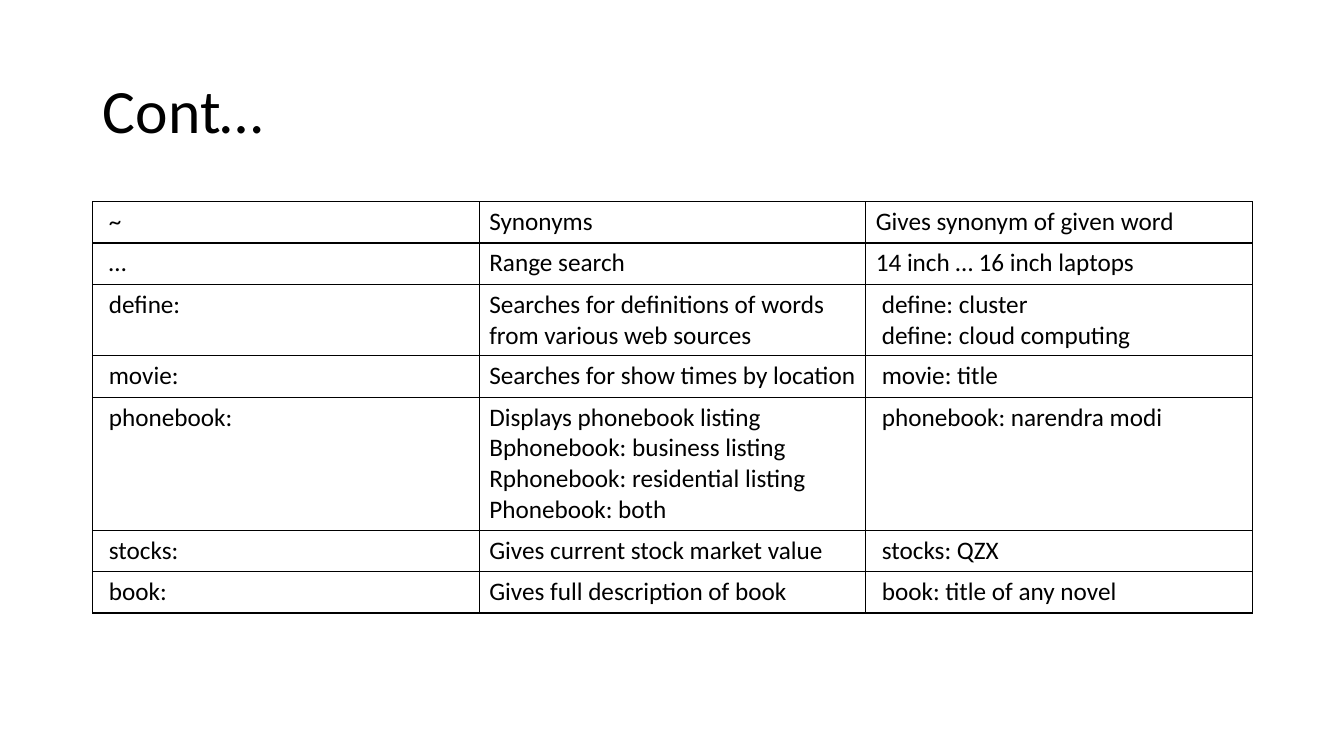
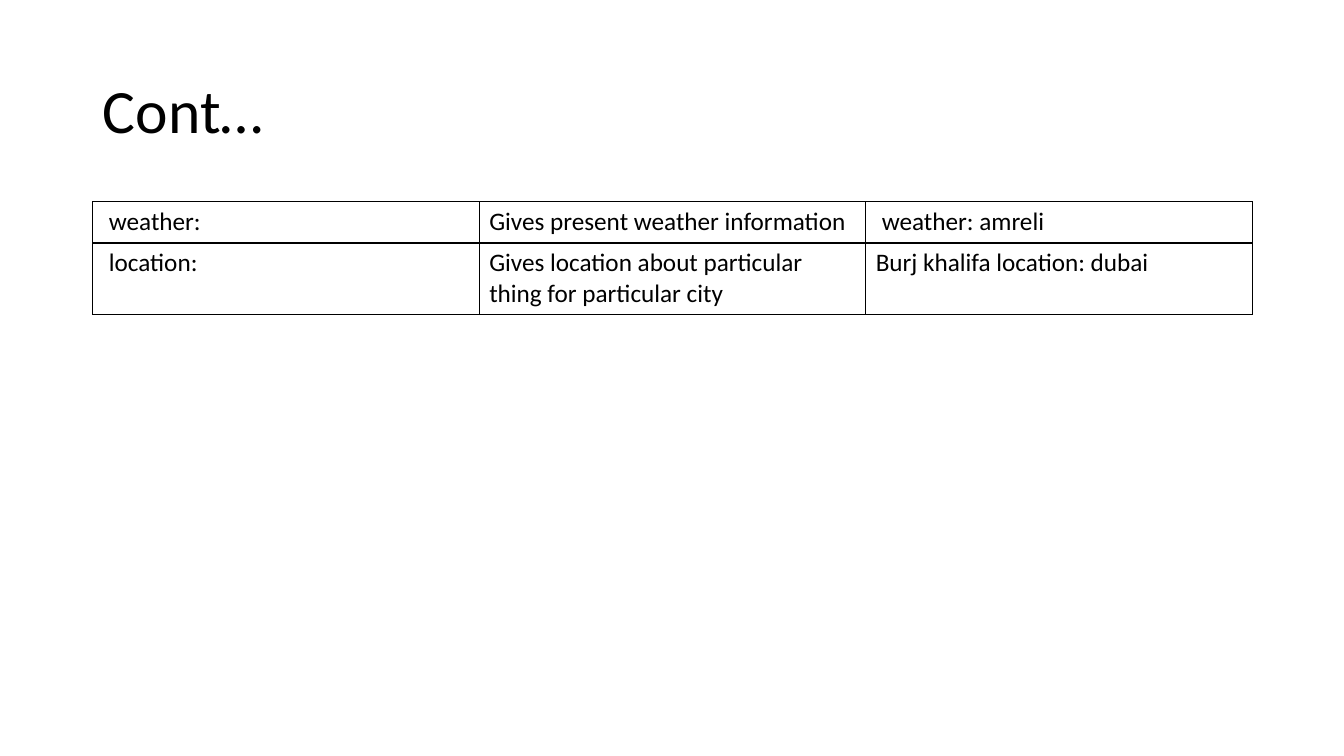
from dataclasses import dataclass

from lxml.etree import SubElement
from pptx import Presentation
from pptx.dml.color import RGBColor
from pptx.enum.text import MSO_ANCHOR, MSO_AUTO_SIZE, PP_ALIGN
from pptx.oxml.ns import qn
from pptx.presentation import Presentation as Deck
from pptx.slide import Slide
from pptx.table import _Cell as Cell
from pptx.text.text import _Paragraph as Paragraph
from pptx.util import Inches, Pt

FONT = "Calibri"
INK = "000000"
PAPER = "FFFFFF"
TITLE_SIZE = 44
CELL_SIZE = 18
LEFT, WIDTH = 0.92, 11.5
TITLE_TOP, TITLE_HEIGHT = 0.4, 1.45
TABLE_TOP, ROW_HEIGHT = 2.0, 0.41
COLUMN_COUNT = 3
QUERY_INDENT = 0.06
BORDER_WIDTH = 1
TITLE_ONLY_LAYOUT = 5


@dataclass(frozen=True)
class SearchOperator:
    keyword: str
    meaning: tuple[str, ...]
    example: tuple[str, ...]


@dataclass(frozen=True)
class OperatorPage:
    title: str
    operators: tuple[SearchOperator, ...]


PAGES = (
    OperatorPage("Cont…", (
        SearchOperator("~", ("Synonyms",), ("Gives synonym of given word",)),
        SearchOperator("…", ("Range search",), ("14 inch … 16 inch laptops",)),
        SearchOperator(
            "define:",
            ("Searches for definitions of words from various web sources",),
            ("define: cluster", "define: cloud computing"),
        ),
        SearchOperator("movie:", ("Searches for show times by location",), ("movie: title",)),
        SearchOperator(
            "phonebook:",
            (
                "Displays phonebook listing",
                "Bphonebook: business listing",
                "Rphonebook: residential listing",
                "Phonebook: both",
            ),
            ("phonebook: narendra modi",),
        ),
        SearchOperator("stocks:", ("Gives current stock market value",), ("stocks: QZX",)),
        SearchOperator(
            "book:", ("Gives full description of book",), ("book: title of any novel",)
        ),
    )),
    OperatorPage("Cont…", (
        SearchOperator("weather:", ("Gives present weather information",), ("weather: amreli",)),
        SearchOperator(
            "location:",
            ("Gives location about particular thing for particular city",),
            ("Burj khalifa location: dubai",),
        ),
    )),
)


def color(value: str) -> RGBColor:
    return RGBColor.from_string(value)


def add_span(para: Paragraph, text: str, size: float) -> None:
    span = para.add_run()
    span.text = text
    span.font.name = FONT
    span.font.size = Pt(size)
    span.font.color.rgb = color(INK)


def add_title(page: Slide, text: str) -> None:
    box = page.shapes.title
    box.left, box.top = Inches(LEFT), Inches(TITLE_TOP)
    box.width, box.height = Inches(WIDTH), Inches(TITLE_HEIGHT)
    frame = box.text_frame
    frame.word_wrap = True
    frame.auto_size = MSO_AUTO_SIZE.NONE
    frame.vertical_anchor = MSO_ANCHOR.MIDDLE
    para = frame.paragraphs[0]
    para.alignment = PP_ALIGN.LEFT
    para.line_spacing = 0.9
    add_span(para, text, TITLE_SIZE)


def draw_borders(cell: Cell) -> None:
    properties = cell._tc.get_or_add_tcPr()
    for side in ("a:lnL", "a:lnR", "a:lnT", "a:lnB"):
        line = SubElement(properties, qn(side), w=str(Pt(BORDER_WIDTH)))
        fill = SubElement(line, qn("a:solidFill"))
        SubElement(fill, qn("a:srgbClr"), val=INK)


def fill_cell(cell: Cell, lines: tuple[str, ...], keyword: str) -> None:
    """Write one paragraph per line, indenting those that start with the keyword."""
    draw_borders(cell)
    cell.fill.background()
    frame = cell.text_frame
    for index, text in enumerate(lines):
        para = frame.add_paragraph() if index else frame.paragraphs[0]
        if text.startswith(keyword):
            para._p.get_or_add_pPr().set("marL", str(Inches(QUERY_INDENT)))
        add_span(para, text, CELL_SIZE)


def add_operator_table(page: Slide, operators: tuple[SearchOperator, ...]) -> None:
    row_count = len(operators)
    table = page.shapes.add_table(
        row_count, COLUMN_COUNT, Inches(LEFT), Inches(TABLE_TOP),
        Inches(WIDTH), Inches(ROW_HEIGHT * row_count),
    ).table
    table.first_row = False
    table.horz_banding = False
    for column in table.columns:
        column.width = Inches(WIDTH / COLUMN_COUNT)
    for row, operator in zip(table.rows, operators):
        row.height = Inches(ROW_HEIGHT)
        contents = ((operator.keyword,), operator.meaning, operator.example)
        for cell, lines in zip(row.cells, contents):
            fill_cell(cell, lines, operator.keyword)


def add_page(deck: Deck, content: OperatorPage) -> None:
    page = deck.slides.add_slide(deck.slide_layouts[TITLE_ONLY_LAYOUT])
    add_title(page, content.title)
    add_operator_table(page, content.operators)


def main() -> None:
    deck = Presentation()
    deck.slide_width, deck.slide_height = Inches(13.33), Inches(7.5)
    background = deck.slide_master.background.fill
    background.solid()
    background.fore_color.rgb = color(PAPER)
    for content in PAGES:
        add_page(deck, content)
    deck.save("out.pptx")


if __name__ == "__main__":
    main()
